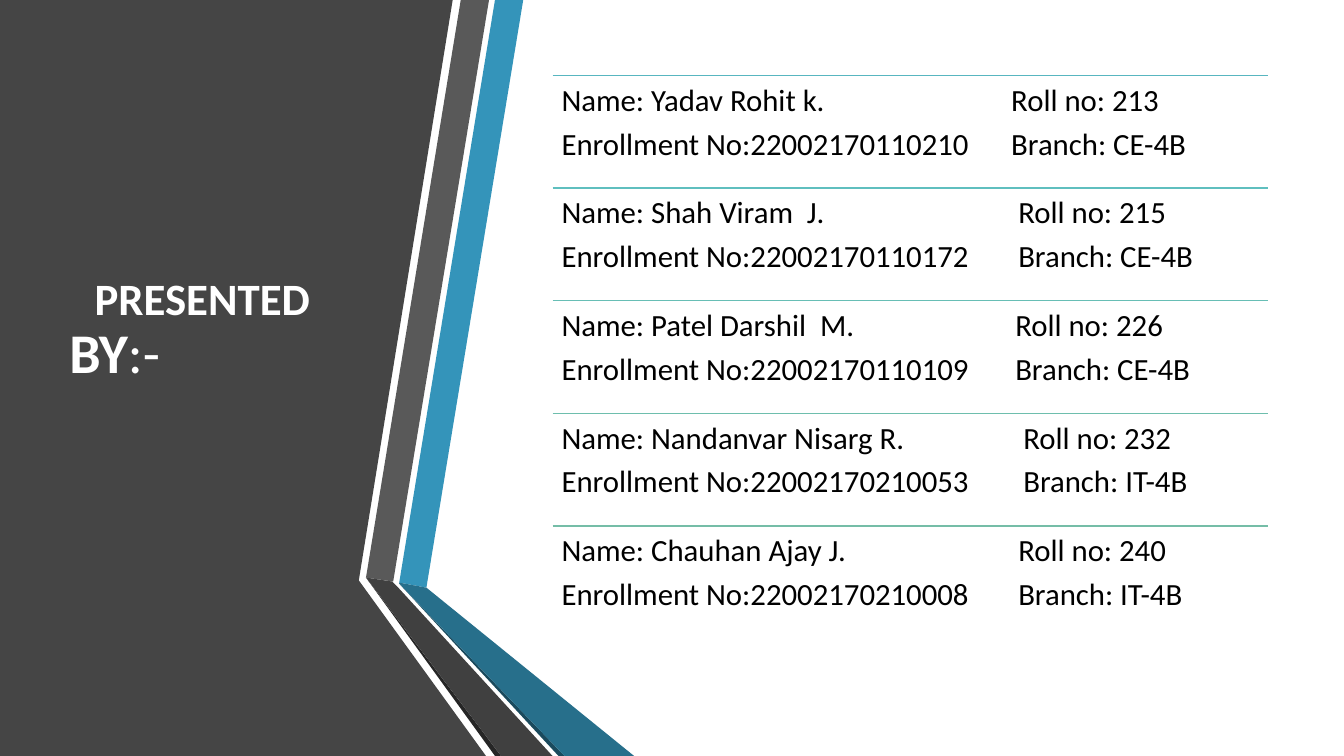
"""Builds the "Presented by" slide: folded ribbons on the left, team list on the right."""
from lxml import etree
from pptx import Presentation
from pptx.dml.color import RGBColor
from pptx.enum import shapes, text
from pptx.oxml.ns import qn
from pptx.util import Inches, Pt

MEMBERS = [
    ("Yadav Rohit k.", "213", "22002170110210", "CE-4B", "58B6C0", 4.46),
    ("Shah Viram  J.", "215", "22002170110172", "CE-4B", "5FBFBF", 4.53),
    ("Patel Darshil  M.", "226", "22002170110109", "CE-4B", "67BEB5", 4.5),
    ("Nandanvar Nisarg R.", "232", "22002170210053", "IT-4B", "6EBEAD", 4.58),
    ("Chauhan Ajay J.", "240", "22002170210008", "IT-4B", "75BDA7", 4.53),
]
PANEL = ("454545", [(0, 0), (4.49, 0), (3.56, 5.75), (3.56, 5.76), (4.82, 7.5), (0, 7.5)])
RIBBONS = [
    ("3494BA", [(3.96, 5.78), (4.23, 5.83), (5.19, 0), (4.91, 0)]),
    ("595959", [(4.85, 0), (4.57, 0), (3.63, 5.73), (3.9, 5.77)]),
    ("262626", [(3.63, 5.73), (4.91, 7.5), (4.97, 7.5)]),
    ("1A4A5D", [(3.96, 5.79), (5.54, 7.5), (5.6, 7.5)]),
    ("276F8B", [(3.96, 5.79), (5.6, 7.5), (6.29, 7.5), (4.23, 5.83), (3.96, 5.78)]),
    ("404040", [(5.48, 7.5), (3.95, 5.83), (3.89, 5.77), (3.63, 5.73), (4.97, 7.5)]),
]
TITLE = [("PRESENTED", 32, True), ("BY", 40, True), (":-", 40, False)]
THEME = {"font": "Calibri", "title": "FFFFFF", "body": "000000", "body_size": 22,
         "line_spacing": 0.9, "body_after": 7.5, "rule": 1}
LIST_LEFT, LIST_TOP, LIST_WIDTH, ROW_HEIGHT = 5.48, 0.75, 7.1, 1.117


def style(font, size, color, bold=False):
    font.name, font.size, font.bold = THEME["font"], Pt(size), bold
    font.color.rgb = RGBColor.from_string(color)


def draw_outline(parent, color, points):
    corners = [(Inches(x), Inches(y)) for x, y in points]
    builder = parent.build_freeform(*corners[0], scale=1)
    builder.add_line_segments(corners[1:], close=True)
    outline = builder.convert_to_shape()
    outline.shadow.inherit = False
    outline.fill.solid()
    outline.fill.fore_color.rgb = RGBColor.from_string(color)
    outline.line.fill.background()


def draw_title(parent):
    frame = parent.add_textbox(Inches(0.59), Inches(0.75), Inches(3.04), Inches(5.58)).text_frame
    frame.word_wrap = True
    frame.vertical_anchor = text.MSO_ANCHOR.MIDDLE
    frame.margin_bottom = Inches(0.56)
    heading = frame.paragraphs[0]
    heading.line_spacing = THEME["line_spacing"]
    heading._p.get_or_add_pPr().set("indent", str(Inches(0.25)))
    for words, size, bold in TITLE:
        run = heading.add_run()
        run.text = words
        style(run.font, size, THEME["title"], bold)
        if words == "PRESENTED":
            heading.add_line_break()


def draw_member(parent, index, member):
    name, roll, enrollment, branch, color, column = member
    left, width = Inches(LIST_LEFT), Inches(LIST_WIDTH)
    top = Inches(LIST_TOP + index * ROW_HEIGHT)
    rule = parent.add_connector(shapes.MSO_CONNECTOR.STRAIGHT, left, top, left + width, top)
    rule.line.color.rgb = RGBColor.from_string(color)
    rule.line.width = Pt(THEME["rule"])
    etree.SubElement(rule._element.spPr, qn("a:effectLst"))

    frame = parent.add_textbox(left, top, width, Inches(ROW_HEIGHT)).text_frame
    frame.word_wrap = True
    frame.margin_left = frame.margin_right = Inches(0.09)
    frame.margin_top = frame.margin_bottom = Inches(0.09)
    frame.text = (f"Name: {name}\tRoll no: {roll}\n"
                  f"Enrollment No:{enrollment}\tBranch: {branch}")
    for line in frame.paragraphs:
        line.line_spacing = THEME["line_spacing"]
        line.space_after = Pt(THEME["body_after"])
        stops = etree.SubElement(line._p.get_or_add_pPr(), qn("a:tabLst"))
        etree.SubElement(stops, qn("a:tab"), pos=str(Inches(column)), algn="l")
        for run in line.runs:
            style(run.font, THEME["body_size"], THEME["body"])


def main():
    deck = Presentation()
    deck.slide_width, deck.slide_height = Inches(13.33), Inches(7.5)
    slide = deck.slides.add_slide(deck.slide_layouts[6])
    draw_outline(slide.shapes, *PANEL)
    ribbons = slide.shapes.add_group_shape().shapes
    for color, points in RIBBONS:
        draw_outline(ribbons, color, points)
    draw_title(slide.shapes)
    team = slide.shapes.add_group_shape().shapes
    for index, member in enumerate(MEMBERS):
        draw_member(team, index, member)
    deck.save("out.pptx")


if __name__ == "__main__":
    main()
